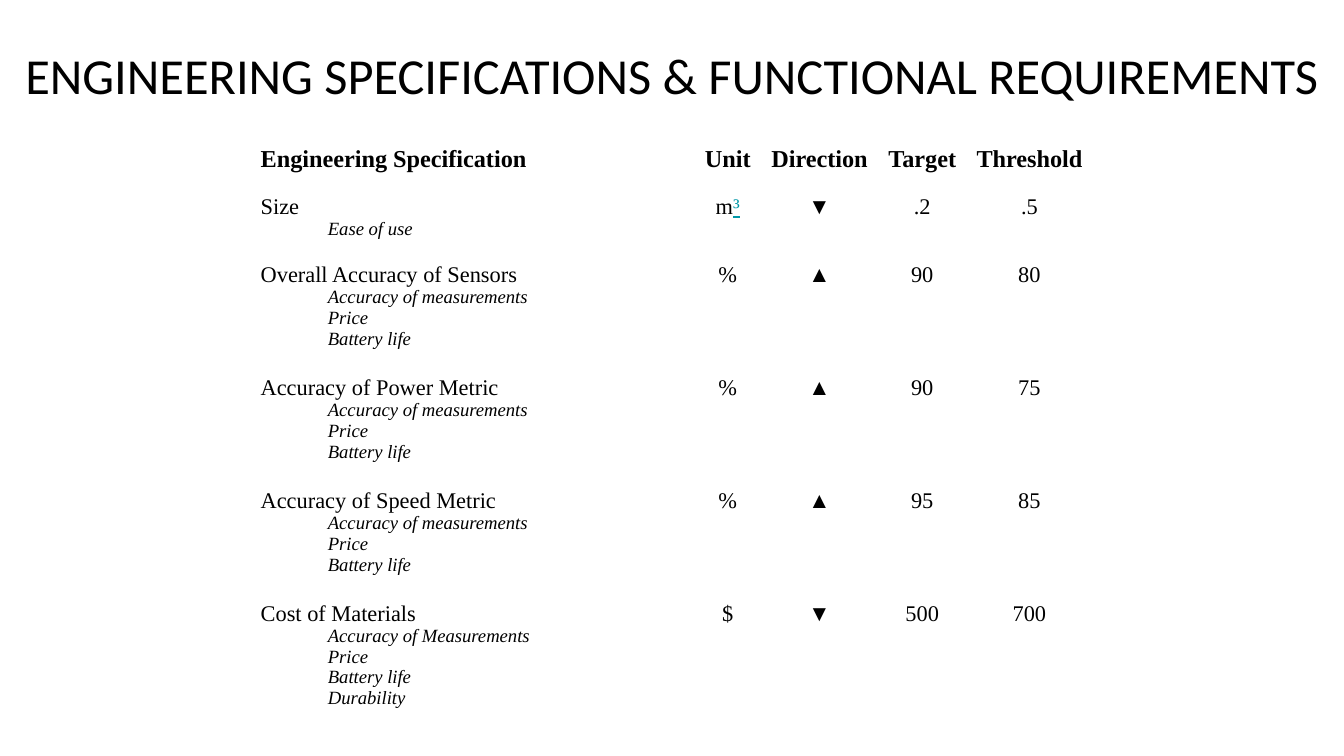
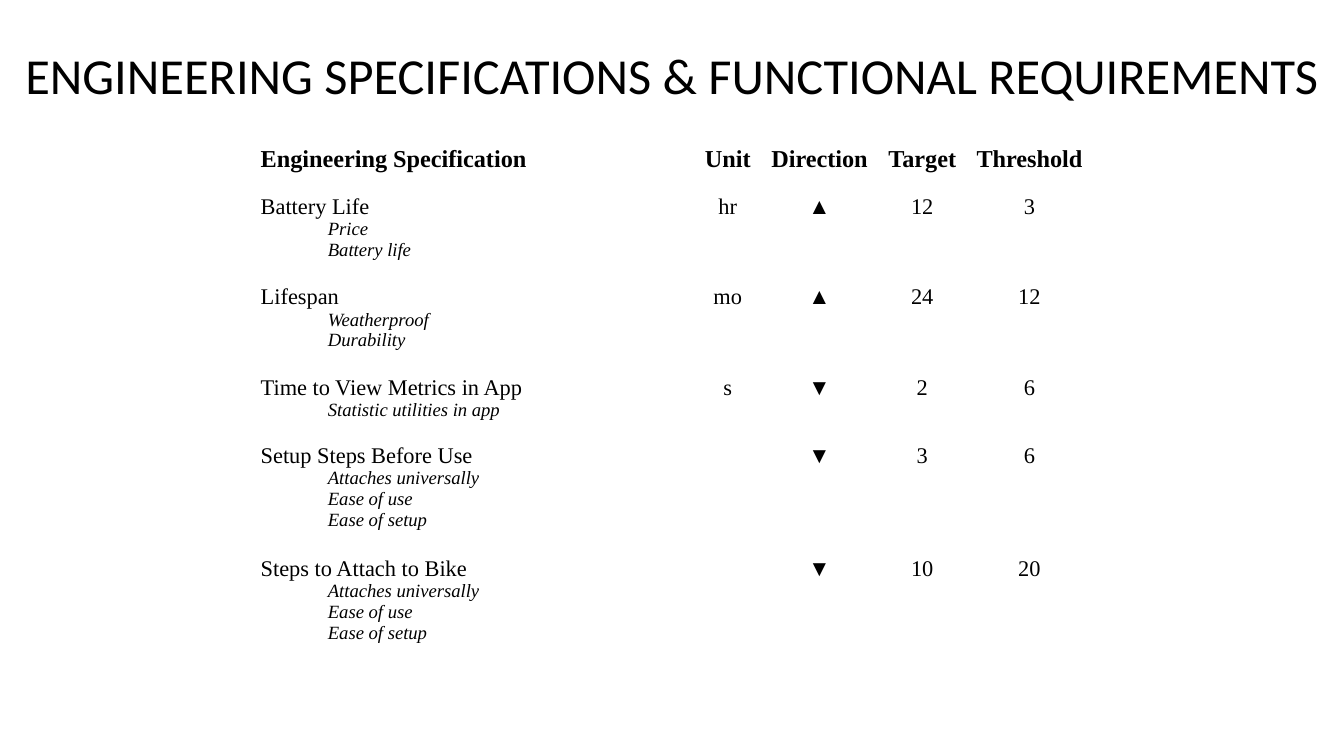
"""Build two slides of engineering specification tables."""
from dataclasses import dataclass
from typing import Any

from lxml import etree
from pptx import Presentation
from pptx.dml.color import RGBColor
from pptx.enum.text import MSO_ANCHOR, PP_ALIGN
from pptx.oxml.ns import qn
from pptx.util import Pt

LEFT, CENTER = PP_ALIGN.LEFT, PP_ALIGN.CENTER
TOP = MSO_ANCHOR.TOP
EMU_PER_PX = 4572
BLANK_LAYOUT = 6
UP, DOWN = "▲", "▼"
TITLE = "ENGINEERING SPECIFICATIONS & FUNCTIONAL REQUIREMENTS"
HEADINGS = ("Engineering Specification", "Unit", "Direction", "Target", "Threshold")


@dataclass(frozen=True)
class Theme:
    """Colours, fonts and type sizes."""

    ink: str = "000000"
    paper: str = "FFFFFF"
    link: str = "0097A7"
    title_font: str = "Calibri"
    table_font: str = "Times New Roman"
    title_size: int = 27
    heading_size: int = 13
    body_size: int = 12
    need_size: int = 10
    border_width: int = 1


@dataclass(frozen=True)
class Layout:
    """Lengths in px, two hundred to the inch."""

    slide_width: int = 2000
    slide_height: int = 1125
    title_top: int = 45
    title_height: int = 126
    title_inset: int = 20
    table_left: int = 374
    table_top: int = 204
    columns: tuple[int, ...] = (660, 98, 175, 131, 188)
    row_height: int = 2
    cell_inset: int = 14
    need_indent: int = 100


@dataclass(frozen=True)
class Specification:
    """One measured specification and the needs behind it."""

    name: str
    needs: tuple[str, ...]
    unit: str
    direction: str
    target: str
    threshold: str


THEME = Theme()
LAYOUT = Layout()
SENSOR_NEEDS = ("Accuracy of measurements", "Price", "Battery life")
SETUP_NEEDS = ("Attaches universally", "Ease of use", "Ease of setup")
COST_NEEDS = ("Accuracy of Measurements", "Price", "Battery life", "Durability")

SLIDES = (
    (
        Specification("Size", ("Ease of use",), "m³", DOWN, ".2", ".5"),
        Specification("Overall Accuracy of Sensors", SENSOR_NEEDS, "%", UP, "90", "80"),
        Specification("Accuracy of Power Metric", SENSOR_NEEDS, "%", UP, "90", "75"),
        Specification("Accuracy of Speed Metric", SENSOR_NEEDS, "%", UP, "95", "85"),
        Specification("Cost of Materials", COST_NEEDS, "$", DOWN, "500", "700"),
    ),
    (
        Specification("Battery Life", ("Price", "Battery life"), "hr", UP, "12", "3"),
        Specification("Lifespan", ("Weatherproof", "Durability"), "mo", UP, "24", "12"),
        Specification("Time to View Metrics in App", ("Statistic utilities in app",), "s", DOWN, "2", "6"),
        Specification("Setup Steps Before Use", SETUP_NEEDS, "", DOWN, "3", "6"),
        Specification("Steps to Attach to Bike", SETUP_NEEDS, "", DOWN, "10", "20"),
    ),
)

TITLE_FORMAT = {"name": THEME.title_font, "size": Pt(THEME.title_size)}
HEADING_FORMAT = {"name": THEME.table_font, "size": Pt(THEME.heading_size), "bold": True}
BODY_FORMAT = {"name": THEME.table_font, "size": Pt(THEME.body_size), "bold": False}
NEED_FORMAT = BODY_FORMAT | {"size": Pt(THEME.need_size), "italic": True}
LINK_FORMAT = BODY_FORMAT | {"underline": True}


def px(length: int) -> int:
    """Turn px into EMU."""
    return length * EMU_PER_PX


def apply(target: Any, values: dict[str, Any]) -> None:
    """Set each named attribute on the target."""
    for name, value in values.items():
        setattr(target, name, value)


def margins(inset: int) -> dict[str, int]:
    """Give the same margin to all four sides."""
    return {f"margin_{side}": px(inset) for side in ("left", "top", "right", "bottom")}


def add_run(paragraph: Any, text: str, values: dict[str, Any], color: str = THEME.ink) -> None:
    """Add a formatted run to a paragraph."""
    run = paragraph.add_run()
    run.text = text
    apply(run.font, values)
    run.font.color.rgb = RGBColor.from_string(color)


def add_title(slide: Any) -> None:
    """Draw the centred title across the slide."""
    shape = slide.shapes.add_textbox(
        0, px(LAYOUT.title_top), px(LAYOUT.slide_width), px(LAYOUT.title_height)
    )
    frame = shape.text_frame
    apply(frame, margins(LAYOUT.title_inset) | {"word_wrap": True, "vertical_anchor": TOP})
    paragraph = frame.paragraphs[0]
    paragraph.alignment = CENTER
    add_run(paragraph, TITLE, TITLE_FORMAT)


def style_cell(cell: Any) -> None:
    """Give a cell its margins, borders and empty fill."""
    apply(cell, margins(LAYOUT.cell_inset) | {"vertical_anchor": TOP})
    properties = cell._tc.get_or_add_tcPr()
    for side in ("a:lnL", "a:lnR", "a:lnT", "a:lnB"):
        line = etree.SubElement(properties, qn(side), w=str(Pt(THEME.border_width)))
        fill = etree.SubElement(line, qn("a:solidFill"))
        etree.SubElement(fill, qn("a:srgbClr"), val=THEME.paper)
    cell.fill.background()


def write_cell(cell: Any, text: str, column: int, values: dict[str, Any]) -> None:
    """Write the first paragraph of a cell, linking a raised digit."""
    style_cell(cell)
    paragraph = cell.text_frame.paragraphs[0]
    paragraph.alignment = CENTER if column else LEFT
    base, raised, _ = text.partition("³")
    if base:
        add_run(paragraph, base, values)
    if raised:
        add_run(paragraph, raised, LINK_FORMAT, THEME.link)


def add_needs(cell: Any, needs: tuple[str, ...]) -> None:
    """List the needs, indented, under the specification name."""
    for need in needs:
        paragraph = cell.text_frame.add_paragraph()
        paragraph.alignment = LEFT
        apply_indent = paragraph._p.get_or_add_pPr().set
        apply_indent("marL", str(px(LAYOUT.need_indent)))
        apply_indent("indent", "0")
        add_run(paragraph, need, NEED_FORMAT)


def add_specification_table(slide: Any, specifications: tuple[Specification, ...]) -> None:
    """Draw the heading row and one row for each specification."""
    row_count = len(specifications) + 1
    table = slide.shapes.add_table(
        row_count,
        len(HEADINGS),
        px(LAYOUT.table_left),
        px(LAYOUT.table_top),
        px(sum(LAYOUT.columns)),
        px(LAYOUT.row_height * row_count),
    ).table
    apply(table, {"first_row": False, "horz_banding": False})
    for column, width in zip(table.columns, LAYOUT.columns):
        column.width = px(width)
    for column, heading in enumerate(HEADINGS):
        write_cell(table.cell(0, column), heading, column, HEADING_FORMAT)
    for row, item in enumerate(specifications, start=1):
        texts = (item.name, item.unit, item.direction, item.target, item.threshold)
        for column, text in enumerate(texts):
            write_cell(table.cell(row, column), text, column, BODY_FORMAT)
        add_needs(table.cell(row, 0), item.needs)


def main() -> None:
    """Build and save the presentation."""
    presentation = Presentation()
    presentation.slide_width = px(LAYOUT.slide_width)
    presentation.slide_height = px(LAYOUT.slide_height)
    for specifications in SLIDES:
        slide = presentation.slides.add_slide(presentation.slide_layouts[BLANK_LAYOUT])
        add_title(slide)
        add_specification_table(slide, specifications)
    presentation.save("out.pptx")


if __name__ == "__main__":
    main()
